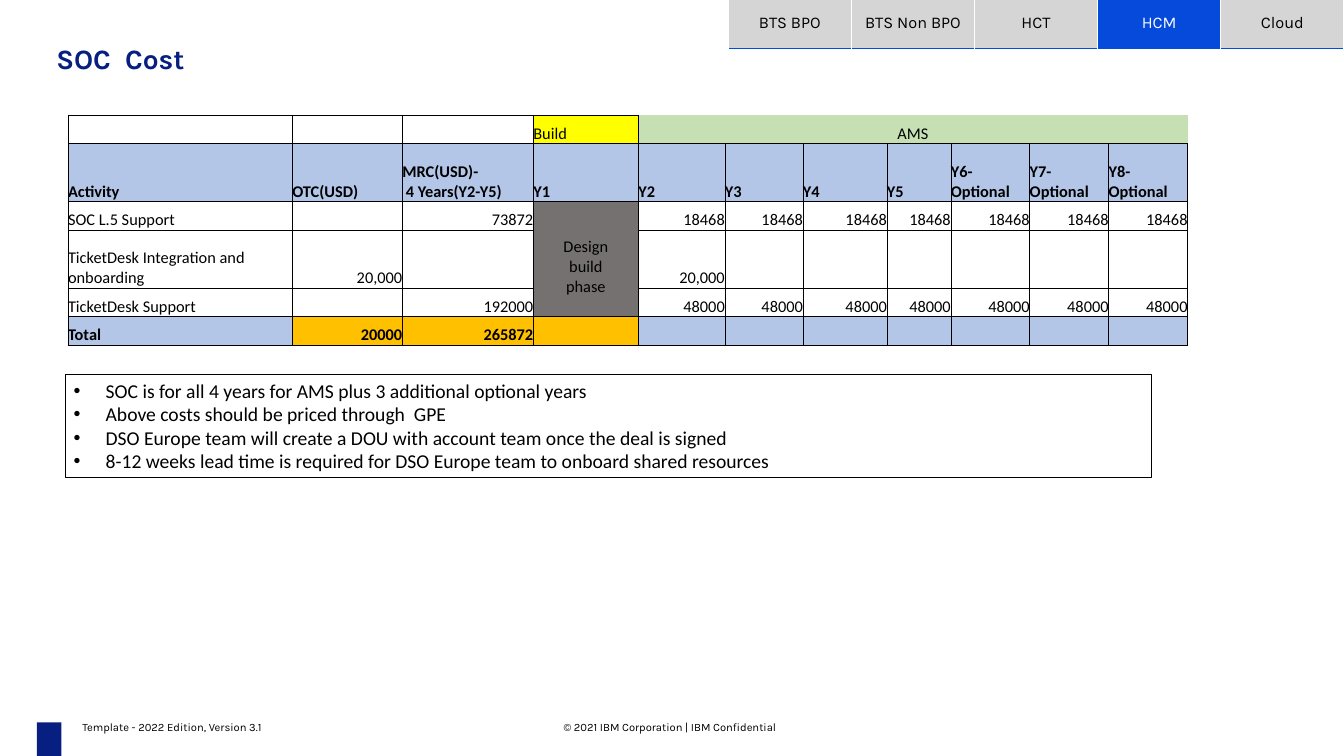
from dataclasses import dataclass

from lxml.etree import SubElement
from pptx import Presentation
from pptx.dml.color import RGBColor
from pptx.enum.shapes import MSO_SHAPE as Shape
from pptx.enum.text import MSO_ANCHOR as Anchor, PP_ALIGN as Align
from pptx.oxml import parse_xml
from pptx.oxml.ns import nsdecls, qn
from pptx.util import Inches, Pt


@dataclass(frozen=True)
class Theme:
    navy: str = "061F80"
    active: str = "054ADA"
    rule: str = "004BE3"
    tab: str = "D5D5D5"
    white: str = "FFFFFF"
    black: str = "000000"
    head: str = "B4C6E7"
    total: str = "FFC000"
    build: str = "FFFF00"
    ams: str = "C6E0B4"
    phase: str = "757171"
    brand_font: str = "Karla"
    body_font: str = "Calibri"
    title_size: float = 24
    table_size: float = 14
    note_size: float = 16.8
    foot_size: float = 9.6


T = Theme()
W, H = 16, 9

TITLE = "SOC  Cost"
TABS = ["BTS BPO", "BTS Non BPO", "HCT", "HCM", "Cloud"]
ACTIVE_TAB = "HCM"
COSTS = [
    ["", "", "", "Build", "AMS"] + [""] * 6,
    ["Activity", "OTC(USD)", "MRC(USD)-\n 4 Years(Y2-Y5)", "Y1", "Y2", "Y3", "Y4", "Y5",
     "Y6-Optional", "Y7-Optional", "Y8-Optional"],
    ["SOC L.5 Support", "", "73872", "Design\nbuild\nphase"] + ["18468"] * 7,
    ["TicketDesk Integration and onboarding", "20,000", "", "", "20,000"] + [""] * 6,
    ["TicketDesk Support", "", "192000", ""] + ["48000"] * 7,
    ["Total", "20000", "265872"] + [""] * 8,
]
COST_COLS = [2.67, 1.31, 1.56, 1.25, 1.03, 0.93, 1, 0.76, 0.94, 0.94, 0.94]
COST_ROWS = [0.34, 0.69, 0.34, 0.69, 0.34, 0.34]
HEAD_ROW, TOTAL_ROW = 1, 5
BUILD_COL, AMS_COL = 3, 4
NOTES = [
    "SOC is for all 4 years for AMS plus 3 additional optional years",
    "Above costs should be priced through  GPE",
    "DSO Europe team will create a DOU with account team once the deal is signed",
    "8-12 weeks lead time is required for DSO Europe team to onboard shared resources",
]
FOOTERS = [  # left, width, text
    (0.98, 2.4, "Template - 2022 Edition, Version 3.1"),
    (6.71, 2.7, "© 2021 IBM Corporation | IBM Confidential"),
]


def rgb(value):
    return RGBColor.from_string(value)


def write(tf, lines, font, size, color=T.black, bold=False, align=Align.LEFT):
    for i, line in enumerate(lines):
        p = tf.paragraphs[0] if i == 0 else tf.add_paragraph()
        p.alignment = align
        if line:
            r = p.add_run()
            r.text = line
            r.font.name, r.font.size, r.font.bold = font, Pt(size), bold
            r.font.color.rgb = rgb(color)


def add_text(s, x, y, w, h, text, size, color=T.black, bold=False):
    tf = s.shapes.add_textbox(*map(Inches, (x, y, w, h))).text_frame
    tf.word_wrap = True
    tf.margin_left = tf.margin_right = tf.margin_top = tf.margin_bottom = 0
    write(tf, [text], T.brand_font, size, color, bold)


def set_borders(cell, width, **sides):
    """Draw the sides L, R, T and B in the given colours; sides not named stay bare."""
    tc_pr = cell._tc.get_or_add_tcPr()
    for i, side in enumerate("LRTB"):
        color = sides.get(side)
        paint = f'<a:solidFill><a:srgbClr val="{color}"/></a:solidFill>' if color else "<a:noFill/>"
        tc_pr.insert(i, parse_xml(
            f'<a:ln{side} {nsdecls("a")} w="{Pt(width)}">{paint}</a:ln{side}>'))


def add_grid(s, x, y, cols, rows):
    tbl = s.shapes.add_table(len(rows), len(cols), Inches(x), Inches(y),
                             Inches(sum(cols)), Inches(sum(rows))).table
    tbl.first_row = tbl.horz_banding = False
    for col, w in zip(tbl.columns, cols):
        col.width = Inches(w)
    for row, h in zip(tbl.rows, rows):
        row.height = Inches(h)
    for cell in tbl.iter_cells():
        cell.margin_left = cell.margin_right = cell.margin_top = cell.margin_bottom = 0
    return tbl


def paint_cell(cell, color):
    if color:
        cell.fill.solid()
        cell.fill.fore_color.rgb = rgb(color)
    else:
        cell.fill.background()


def add_tabs(s):
    width = 7.33
    tbl = add_grid(s, W - width, 0, [width / len(TABS)] * len(TABS), [0.58])
    for cell, name in zip(tbl.iter_cells(), TABS):
        active = name == ACTIVE_TAB
        paint_cell(cell, T.active if active else T.tab)
        set_borders(cell, 1, L=T.white, R=T.white, B=T.rule)
        cell.margin_top = Inches(0.16)
        write(cell.text_frame, [name], T.brand_font, T.table_size,
              T.white if active else T.black, align=Align.CENTER)


def cost_fill(r, c):
    if r == 0:
        return T.ams if c >= AMS_COL else T.build if c == BUILD_COL else None
    if r == HEAD_ROW:
        return T.head
    if r == TOTAL_ROW:
        return T.total if 1 <= c <= BUILD_COL else T.head
    return T.phase if c == BUILD_COL else None


def add_costs(s):
    tbl = add_grid(s, 0.81, 1.37, COST_COLS, COST_ROWS)
    ams, phase = tbl.cell(0, AMS_COL), tbl.cell(HEAD_ROW + 1, BUILD_COL)
    ams.merge(tbl.cell(0, len(COST_COLS) - 1))
    phase.merge(tbl.cell(TOTAL_ROW - 1, BUILD_COL))
    for r, row in enumerate(COSTS):
        for c, text in enumerate(row):
            cell = tbl.cell(r, c)
            cell.vertical_anchor = Anchor.BOTTOM
            paint_cell(cell, cost_fill(r, c))
            in_ams = r == 0 and c >= AMS_COL
            sides = ("LB" if c == AMS_COL else "B") if in_ams else "LRTB"
            set_borders(cell, 0.5, **dict.fromkeys(sides, T.black))
            number = text.replace(",", "").isdigit()
            align = (Align.CENTER if cell.is_merge_origin
                     else Align.RIGHT if number else Align.LEFT)
            write(cell.text_frame, text.split("\n"), T.body_font, T.table_size,
                  bold=r in (HEAD_ROW, TOTAL_ROW), align=align)
    phase.margin_bottom = Inches(0.24)


def add_notes(s):
    sp = s.shapes.add_shape(Shape.RECTANGLE, *map(Inches, (0.78, 4.46, 12.93, 1.23)))
    sp.shadow.inherit = False
    sp.fill.background()
    sp.line.color.rgb = rgb(T.black)
    sp.line.width = Pt(0.75)
    tf = sp.text_frame
    tf.word_wrap = True
    tf.vertical_anchor = Anchor.TOP
    write(tf, NOTES, T.body_font, T.note_size)
    indent = Inches(0.38)
    for p in tf.paragraphs:
        p_pr = p._p.get_or_add_pPr()
        p_pr.set("marL", str(indent))
        p_pr.set("indent", str(-indent))
        SubElement(p_pr, qn("a:buFont"), typeface="Arial")
        SubElement(p_pr, qn("a:buChar"), char="•")


def add_corner(s):
    sp = s.shapes.add_shape(Shape.RECTANGLE, *map(Inches, (0.44, H - 0.4, 0.29, 0.4)))
    sp.shadow.inherit = False
    sp.fill.solid()
    sp.fill.fore_color.rgb = rgb(T.navy)
    sp.line.fill.background()


def main():
    prs = Presentation()
    prs.slide_width, prs.slide_height = Inches(W), Inches(H)
    s = prs.slides.add_slide(prs.slide_layouts[6])
    add_corner(s)
    add_text(s, 0.67, 0.5, 8, 0.4, TITLE, T.title_size, T.navy, bold=True)
    add_tabs(s)
    for x, w, text in FOOTERS:
        add_text(s, x, H - 0.42, w, 0.16, text, T.foot_size)
    add_notes(s)
    add_costs(s)
    prs.save("out.pptx")


if __name__ == "__main__":
    main()
